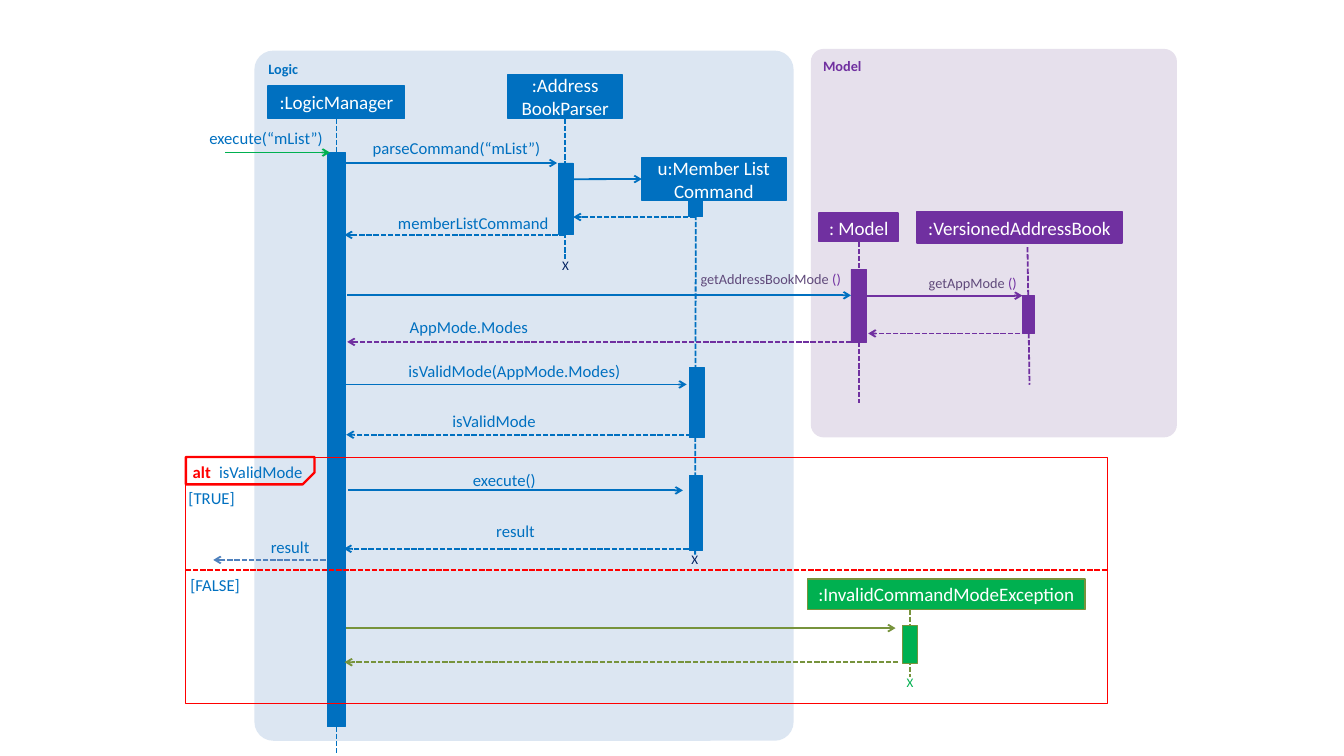
import pptx
import pptx.util
from lxml import etree
from pptx.dml.color import RGBColor
from pptx.enum.dml import MSO_LINE
from pptx.enum.shapes import MSO_CONNECTOR, MSO_SHAPE
from pptx.enum.text import MSO_ANCHOR, MSO_AUTO_SIZE, PP_ALIGN
from pptx.oxml.ns import qn
from pptx.util import Cm

BLUE = RGBColor(0x00, 0x70, 0xC0)
PALE_BLUE = RGBColor(0xDC, 0xE6, 0xF2)
STEEL = RGBColor(0x4F, 0x81, 0xBD)
NAVY = RGBColor(0x00, 0x20, 0x60)
PURPLE = RGBColor(0x70, 0x30, 0xA0)
DARK_PURPLE = RGBColor(0x60, 0x4A, 0x7B)
PALE_PURPLE = RGBColor(0xE6, 0xE0, 0xEC)
GREEN = RGBColor(0x00, 0xB0, 0x50)
OLIVE = RGBColor(0x77, 0x93, 0x3C)
RED = RGBColor(0xFF, 0x00, 0x00)
WHITE = RGBColor(0xFF, 0xFF, 0xFF)


class SequenceDiagram:
    font_name = "Calibri"
    bottom_side, left_side = 2, 1

    def __init__(self, slide):
        self.slide = slide

    def style_text(self, frame, size, color, bold=False, align=PP_ALIGN.LEFT):
        for paragraph in frame.paragraphs:
            paragraph.alignment = align
            font = paragraph.font
            font.name, font.size, font.bold = self.font_name, pptx.util.Pt(size), bold
            font.color.rgb = color

    def box(self, kind, bounds, fill=None, line=None, width=0.75):
        shape = self.slide.shapes.add_shape(kind, *map(Cm, bounds))
        shape.shadow.inherit = False
        if fill is None:
            shape.fill.background()
        else:
            shape.fill.solid()
            shape.fill.fore_color.rgb = fill
        if line is None:
            shape.line.fill.background()
        else:
            shape.line.color.rgb = line
            shape.line.width = pptx.util.Pt(width)
        return shape

    def panel(self, name, bounds, fill, color):
        shape = self.box(MSO_SHAPE.ROUNDED_RECTANGLE, bounds, fill)
        shape.adjustments[0] = 0.035
        shape.text_frame.text = name
        shape.text_frame.vertical_anchor = MSO_ANCHOR.TOP
        self.style_text(shape.text_frame, 12, color, bold=True)

    def participant(self, name, bounds, fill, line):
        shape = self.box(MSO_SHAPE.RECTANGLE, bounds, fill, line, 1.5)
        frame = shape.text_frame
        frame.text = name
        frame.word_wrap = False
        frame.vertical_anchor = MSO_ANCHOR.MIDDLE
        self.style_text(frame, 16, WHITE, align=PP_ALIGN.CENTER)
        return shape

    def line(self, start, end, color, dashed=False, arrow=False):
        connector = self.slide.shapes.add_connector(
            MSO_CONNECTOR.STRAIGHT, *map(Cm, start + end))
        connector.line.color.rgb = color
        connector.line.width = pptx.util.Pt(1.5)
        if dashed:
            connector.line.dash_style = MSO_LINE.SQUARE_DOT
        properties = connector.element.spPr
        if arrow:
            outline = properties.find(qn("a:ln"))
            etree.SubElement(outline, qn("a:tailEnd"), type="arrow")
        etree.SubElement(properties, qn("a:effectLst"))
        return connector

    def label(self, parts, bounds, size=14, bold=False, align=PP_ALIGN.RIGHT):
        """Write one line from (text, color) parts."""
        text_box = self.slide.shapes.add_textbox(*map(Cm, bounds))
        frame = text_box.text_frame
        frame.word_wrap = True
        frame.auto_size = MSO_AUTO_SIZE.SHAPE_TO_FIT_TEXT
        frame.margin_left = frame.margin_right = 0
        frame.margin_top = frame.margin_bottom = 0
        self.style_text(frame, size, parts[0][1], bold, align)
        for text, color in parts:
            run = frame.paragraphs[0].add_run()
            run.text = text
            if color != parts[0][1]:
                run.font.color.rgb = color

    def end_mark(self, left, top, color):
        text_box = self.slide.shapes.add_textbox(Cm(left), Cm(top), Cm(0.71), Cm(0.74))
        text_box.text_frame.text = "X"
        text_box.text_frame.word_wrap = False
        self.style_text(text_box.text_frame, 11, color)


def draw_participants(diagram):
    diagram.panel("Logic", (7.54, 1.5, 15.98, 20.45), PALE_BLUE, BLUE)
    diagram.panel("Model", (24.03, 1.45, 10.85, 11.51), PALE_PURPLE, PURPLE)

    # name, bounds, fill, line, lifeline start and end, joined to the head
    for name, bounds, fill, line, start, end, joined in (
        (":LogicManager", (7.95, 2.54, 4.04, 0.97), BLUE, BLUE, (9.97, 3.51), (9.97, 22.3), True),
        (":Address\nBookParser", (15.06, 2.21, 3.38, 1.3), BLUE, BLUE, (16.75, 3.51), (16.75, 7.67), True),
        (": Model", (24.28, 6.32, 2.34, 0.84), PURPLE, PURPLE, (25.45, 7.16), (25.45, 11.94), True),
        (":VersionedAddressBook", (27.18, 6.27, 6.07, 0.94), PURPLE, PURPLE, (30.45, 7.32), (30.51, 11.4), False),
        (":InvalidCommandModeException", (23.93, 17.15, 8.23, 0.91), GREEN, OLIVE, (26.97, 18.06), (26.97, 20.07), False),
    ):
        head = diagram.participant(name, bounds, fill, line)
        lifeline = diagram.line(start, end, line, dashed=True)
        if joined:
            lifeline.begin_connect(head, diagram.bottom_side)
    diagram.line((20.62, 6.15), (20.6, 16.43), BLUE, dashed=True)

    for bounds, fill, line in (
        ((9.7, 4.52, 0.53, 17.02), BLUE, BLUE),
        ((16.56, 4.83, 0.43, 2.13), BLUE, BLUE),
        ((20.4, 5.66, 0.43, 0.76), BLUE, BLUE),
        ((20.42, 10.9, 0.46, 2.06), BLUE, BLUE),
        ((20.42, 14.1, 0.41, 2.21), BLUE, BLUE),
        ((25.22, 7.98, 0.46, 2.16), PURPLE, PURPLE),
        ((30.3, 8.76, 0.36, 1.12), PURPLE, PURPLE),
        ((26.75, 18.52, 0.43, 1.14), GREEN, OLIVE),
    ):
        diagram.box(MSO_SHAPE.RECTANGLE, bounds, fill, line)

    command = diagram.participant("u:Member List\vCommand", (19.02, 4.67, 4.27, 1.27), BLUE, BLUE)
    creation = diagram.line((16.99, 5.31), (19.02, 5.31), BLUE, arrow=True)
    creation.end_connect(command, diagram.left_side)


def draw_messages(diagram):
    calls = (
        (6.68, 9.78, 4.52, GREEN), (10.26, 16.51, 4.83, BLUE),
        (10.29, 25.22, 8.75, BLUE), (25.7, 30.3, 8.76, PURPLE),
        (10.26, 20.35, 11.39, BLUE), (10.31, 20.24, 14.53, BLUE),
        (10.26, 26.54, 18.61, OLIVE),
    )
    returns = (
        (20.6, 16.99, 6.43, BLUE), (16.74, 10.21, 6.96, BLUE),
        (30.23, 25.73, 9.88, PURPLE), (25.45, 10.29, 10.13, PURPLE),
        (20.7, 10.26, 12.88, BLUE), (20.83, 10.19, 16.26, BLUE),
        (9.65, 6.32, 16.59, STEEL), (26.62, 10.21, 19.62, OLIVE),
    )
    for messages, dashed in ((calls, False), (returns, True)):
        for start, end, y, color in messages:
            diagram.line((start, y), (end, y), color, dashed, arrow=True)

    for text, left, top, width in (
        ("execute(“mList”)", 5.61, 3.78, 3.96),
        ("parseCommand(“mList”)", 10.74, 4.09, 5.28),
        ("memberListCommand", 11.23, 6.32, 5.03),
        ("AppMode.Modes", 10.62, 9.4, 5.03),
        ("isValidMode(AppMode.Modes)", 9.98, 10.69, 8.41),
        ("isValidMode", 13.34, 12.17, 2.54),
        ("execute()", 13.49, 13.92, 2.39),
        ("result", 14.12, 15.44, 1.73),
        ("result", 7.06, 15.9, 2.11),
    ):
        diagram.label([(text, BLUE)], (left, top, width, 0.61))
    for text, left, top in (("getAddressBookMode ", 20.65, 8), ("getAppMode ", 25.86, 8.13)):
        diagram.label([(text, DARK_PURPLE), ("()", PURPLE)], (left, top, 4.27, 0.51), size=12)
    for left, top, color in ((16.41, 7.49, NAVY), (20.24, 16.21, NAVY), (26.62, 19.86, GREEN)):
        diagram.end_mark(left, top, color)


def draw_alternative(diagram):
    diagram.box(MSO_SHAPE.RECTANGLE, (5.51, 13.56, 27.31, 7.29), line=RED, width=1)
    diagram.line((5.51, 16.89), (32.82, 16.89), RED, dashed=True)
    tab = diagram.box(MSO_SHAPE.SNIP_1_RECTANGLE, (5.51, 13.54, 3.81, 0.81), line=RED, width=2)
    tab.adjustments[0] = 0.43
    tab.rotation = 180
    tab.element.spPr.find(qn("a:xfrm")).set("flipH", "1")
    diagram.label([("alt", RED)], (5.69, 13.67, 0.56, 0.61), bold=True)
    for text, left, top, width in (
        ("isValidMode", 6.43, 13.69, 2.54),
        ("[TRUE]", 5.54, 14.45, 1.42),
        ("[FALSE]", 5.41, 17.02, 1.7),
    ):
        diagram.label([(text, BLUE)], (left, top, width, 0.61))


def main():
    presentation = pptx.Presentation()
    presentation.slide_width, presentation.slide_height = Cm(39.83), Cm(22.4)
    blank_layout = presentation.slide_layouts[6]
    diagram = SequenceDiagram(presentation.slides.add_slide(blank_layout))
    draw_participants(diagram)
    draw_messages(diagram)
    draw_alternative(diagram)
    presentation.save("out.pptx")


if __name__ == "__main__":
    main()
